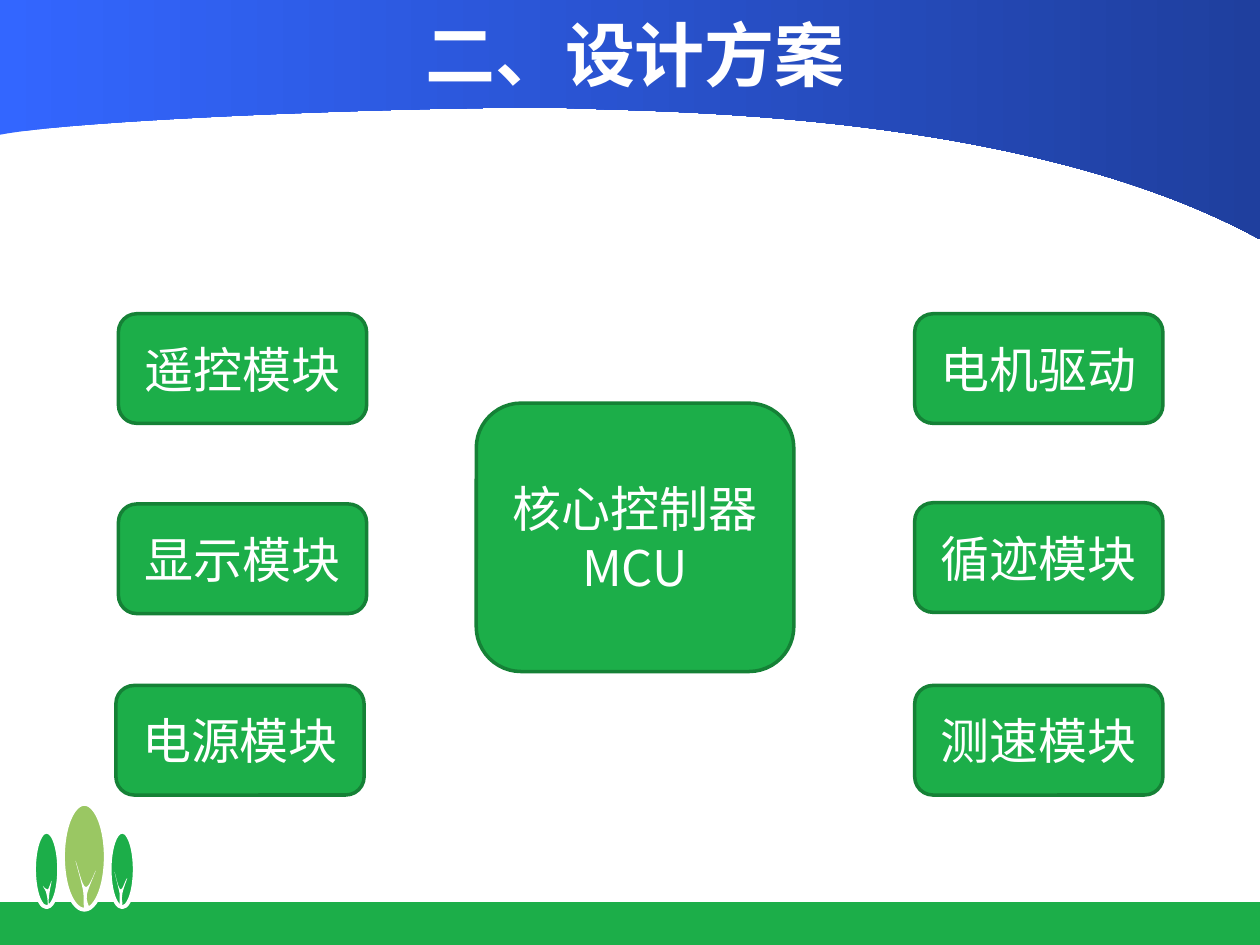
"""Build the design-scheme slide: an MCU controller surrounded by six modules."""
from dataclasses import dataclass

from lxml.etree import SubElement
from pptx import Presentation
from pptx.dml.color import RGBColor
from pptx.enum.shapes import MSO_SHAPE
from pptx.enum.text import MSO_ANCHOR, PP_ALIGN
from pptx.oxml.ns import qn
from pptx.util import Inches, Pt


@dataclass(frozen=True)
class Theme:
    font: str = "Noto Sans CJK SC"
    title_size: Pt = Pt(40)
    box_size: Pt = Pt(28)
    white: RGBColor = RGBColor(0xFF, 0xFF, 0xFF)
    green: RGBColor = RGBColor(0x1C, 0xAE, 0x49)
    dark_green: RGBColor = RGBColor(0x15, 0x81, 0x36)
    light_green: RGBColor = RGBColor(0x9A, 0xC7, 0x63)
    blue: RGBColor = RGBColor(0x33, 0x66, 0xFF)
    dark_blue: RGBColor = RGBColor(0x1F, 0x3F, 0x9E)


theme = Theme()


def set_text(sp, lines, size, bold=False):
    tf = sp.text_frame
    tf.text = "\n".join(lines)
    tf.word_wrap = True
    tf.vertical_anchor = MSO_ANCHOR.MIDDLE
    for p in tf.paragraphs:
        p.alignment = PP_ALIGN.CENTER
        p.font.name = theme.font
        p.font.size = size
        p.font.bold = bold
        p.font.color.rgb = theme.white
        SubElement(p._p.pPr.find(qn("a:defRPr")), qn("a:ea"), typeface=theme.font)


def add_outline(shapes, start, curves, corners=()):
    ends = [curve[4:] for curve in curves] + list(corners)
    builder = shapes.build_freeform(Inches(start[0]), Inches(start[1]))
    builder.add_line_segments([(Inches(x), Inches(y)) for x, y in ends])
    sp = builder.convert_to_shape()
    sp.shadow.inherit = False
    sp.line.fill.background()
    segments = list(sp._element.iter(qn("a:lnTo")))
    for segment, curve in zip(segments, curves):
        bezier = SubElement(segment.getparent(), qn("a:cubicBezTo"))
        for x, y in zip(curve[::2], curve[1::2]):
            SubElement(bezier, qn("a:pt"), x=str(Inches(x) - sp.left),
                       y=str(Inches(y) - sp.top))
        segment.getparent().replace(segment, bezier)
    return sp


prs = Presentation()
prs.slide_width, prs.slide_height = Inches(10), Inches(7.5)
s = prs.slides.add_slide(prs.slide_layouts[5])

wave = add_outline(
    s.shapes, (0, 1.07),
    [(0.73, 0.93, 3.86, 0.83, 4.57, 0.86), (5.29, 0.89, 8.16, 0.89, 10, 1.9)],
    corners=[(10, 0), (0, 0)])
wave.fill.gradient()
wave.fill.gradient_angle = 0
for stop, color in zip(wave.fill.gradient_stops, (theme.blue, theme.dark_blue)):
    stop.color.rgb = color

ground = s.shapes.add_shape(
    MSO_SHAPE.RECTANGLE, Inches(0), Inches(7.16), prs.slide_width, Inches(0.36))
ground.shadow.inherit = False
ground.fill.solid()
ground.fill.fore_color.rgb = theme.green
ground.line.fill.background()

trees = s.shapes.add_group_shape()
crowns = [
    (0.27, 6.6, 0.2, 0.6, theme.green),
    (0.5, 6.38, 0.34, 0.84, theme.light_green),
    (0.87, 6.6, 0.2, 0.6, theme.green),
]
for x, y, w, h, color in crowns:
    crown = trees.shapes.add_shape(
        MSO_SHAPE.OVAL, Inches(x), Inches(y), Inches(w), Inches(h))
    crown.shadow.inherit = False
    crown.fill.solid()
    crown.fill.fore_color.rgb = color
    crown.line.color.rgb = theme.white
    crown.line.width = Pt(2.25)

trunks = [
    ((0.6, 6.83), [
        (0.6, 6.84, 0.65, 7.01, 0.66, 7.07), (0.67, 7.14, 0.66, 7.2, 0.67, 7.22),
        (0.68, 7.24, 0.7, 7.23, 0.71, 7.21), (0.71, 7.19, 0.68, 7.15, 0.69, 7.1),
        (0.7, 7.05, 0.76, 6.92, 0.76, 6.91), (0.76, 6.9, 0.71, 7.05, 0.68, 7.04),
        (0.65, 7.03, 0.62, 6.88, 0.6, 6.83)]),
    ((0.91, 6.92), [
        (0.91, 6.93, 0.94, 7.04, 0.95, 7.09), (0.95, 7.13, 0.95, 7.17, 0.95, 7.19),
        (0.96, 7.2, 0.97, 7.2, 0.97, 7.18), (0.98, 7.17, 0.96, 7.14, 0.97, 7.11),
        (0.97, 7.07, 1.01, 6.98, 1.01, 6.97), (1, 6.97, 0.97, 7.07, 0.96, 7.06),
        (0.94, 7.06, 0.92, 6.95, 0.91, 6.92)]),
    ((0.34, 7.03), [
        (0.34, 7.04, 0.37, 7.07, 0.37, 7.1), (0.38, 7.13, 0.38, 7.18, 0.38, 7.2),
        (0.38, 7.22, 0.39, 7.21, 0.39, 7.19), (0.39, 7.18, 0.38, 7.15, 0.39, 7.12),
        (0.39, 7.08, 0.41, 7, 0.41, 6.99), (0.41, 6.98, 0.39, 7.05, 0.38, 7.06),
        (0.36, 7.06, 0.35, 7.04, 0.34, 7.03)]),
]
for start, curves in trunks:
    trunk = add_outline(trees.shapes, start, curves)
    trunk.fill.solid()
    trunk.fill.fore_color.rgb = theme.white

title = s.shapes.title
title.left, title.top = Inches(0.5), Inches(0.02)
title.width, title.height = Inches(9.08), Inches(0.81)
set_text(title, ["二、设计方案"], theme.title_size, bold=True)
title._element.getparent().append(title._element)

module_w, module_h = 1.97, 0.87
boxes = [(3.78, 3.2, 2.52, 2.13, ["核心控制器", "MCU"])]
modules = [
    (7.26, 2.49, "电机驱动"), (7.26, 3.99, "循迹模块"), (7.26, 5.44, "测速模块"),
    (0.94, 2.49, "遥控模块"), (0.94, 4, "显示模块"), (0.92, 5.44, "电源模块"),
]
boxes += [(x, y, module_w, module_h, [name]) for x, y, name in modules]
for x, y, w, h, lines in boxes:
    box = s.shapes.add_shape(
        MSO_SHAPE.ROUNDED_RECTANGLE, Inches(x), Inches(y), Inches(w), Inches(h))
    box.shadow.inherit = False
    box.fill.solid()
    box.fill.fore_color.rgb = theme.green
    box.line.color.rgb = theme.dark_green
    box.line.width = Pt(2)
    set_text(box, lines, theme.box_size)

prs.save("out.pptx")
